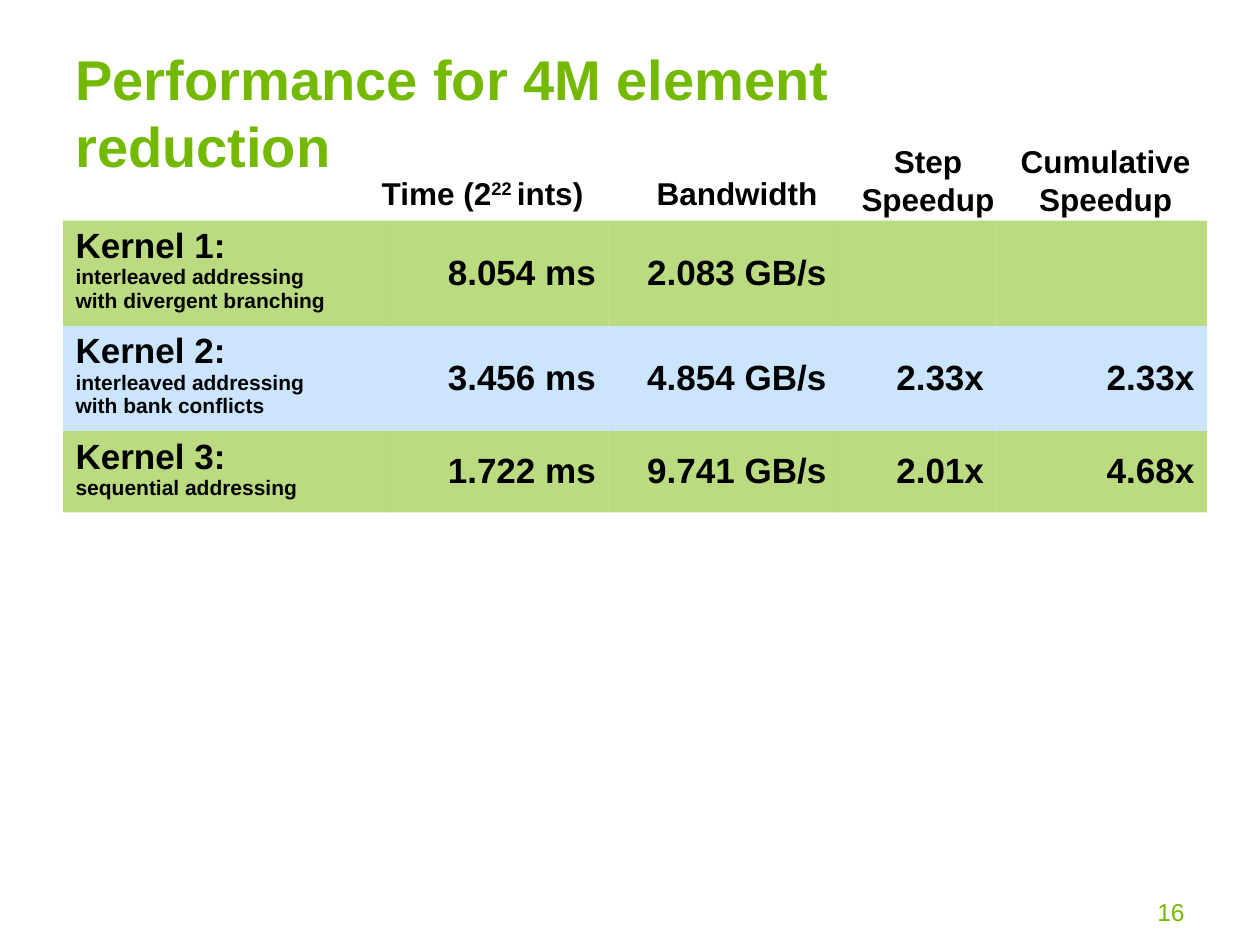
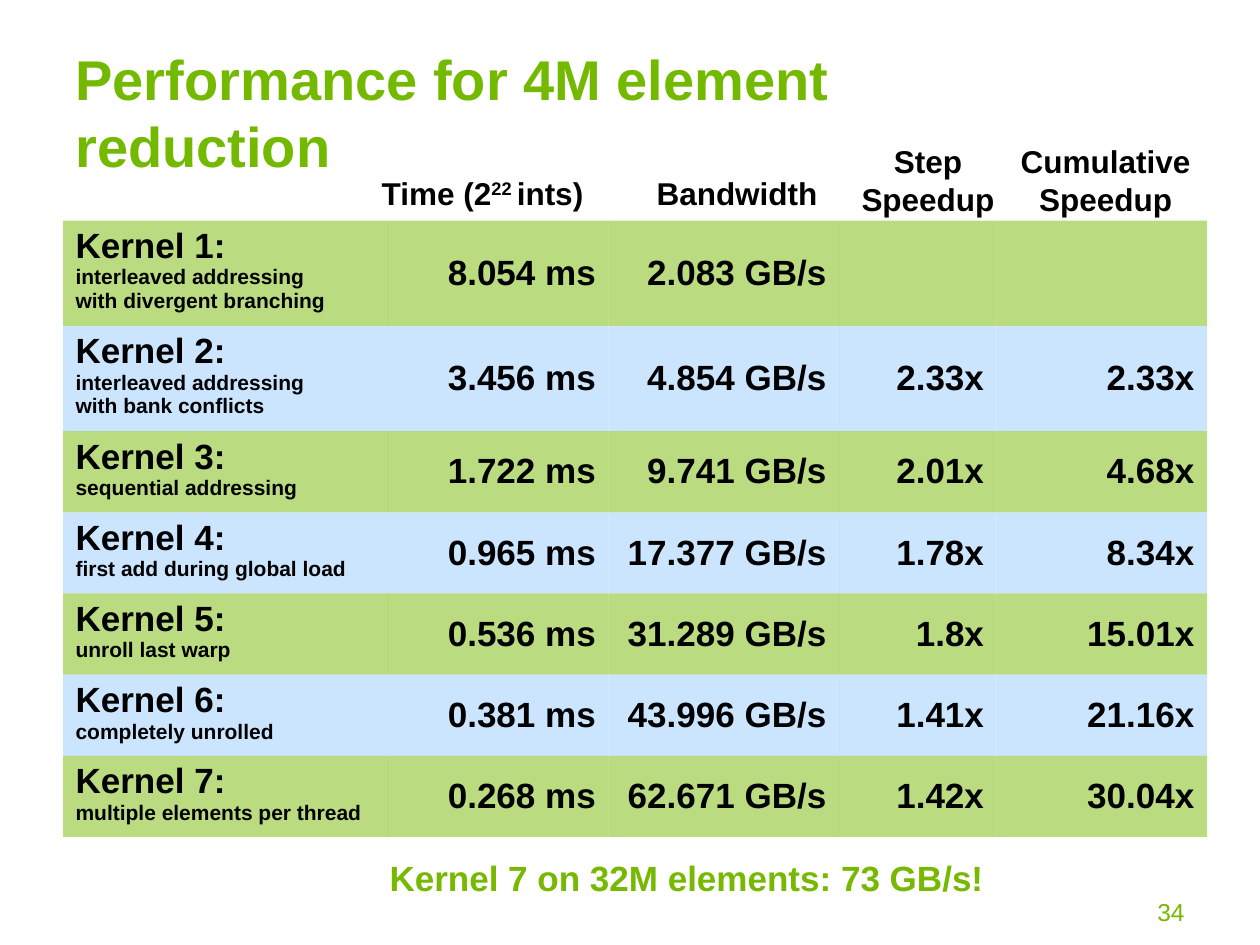
"""Build two slides that compare the speed of parallel reduction kernels."""
from dataclasses import dataclass

from lxml import etree
from pptx import Presentation
from pptx import util as u
from pptx.dml.color import RGBColor
from pptx.enum import text
from pptx.oxml.ns import qn

TITLE = "Performance for 4M element reduction"
KERNELS = [
    (["interleaved addressing", "with divergent branching"], "8.054 ms", "2.083 GB/s", "", ""),
    (["interleaved addressing", "with bank conflicts"], "3.456 ms", "4.854 GB/s", "2.33x", "2.33x"),
    (["sequential addressing"], "1.722 ms", "9.741 GB/s", "2.01x", "4.68x"),
    (["first add during global load"], "0.965 ms", "17.377 GB/s", "1.78x", "8.34x"),
    (["unroll last warp"], "0.536 ms", "31.289 GB/s", "1.8x", "15.01x"),
    (["completely unrolled"], "0.381 ms", "43.996 GB/s", "1.41x", "21.16x"),
    (["multiple elements per thread"], "0.268 ms", "62.671 GB/s", "1.42x", "30.04x"),
]
HEADINGS = [
    (["Time (2", "^22 ", "ints)"], (2.93, 1.33, 1.8, 0.4)),
    (["Bandwidth"], (5.11, 1.33, 1.48, 0.4)),
    (["Step", "\n", "Speedup"], (6.74, 1.08, 1.25, 0.7)),
    (["Cumulative", "\n", "Speedup"], (8, 1.08, 1.55, 0.7)),
]
SLIDES = [
    {"number": "16", "kernels": 3, "remark": None},
    {"number": "34", "kernels": 7, "remark": "Kernel 7 on 32M elements: 73 GB/s!"},
]

SIZE = (10, 7.5)
TITLE_AREA = (0.5, 0.3, 8.33, 1.17)
NUMBER_AREA = (7.17, 7.07, 2.33, 0.35)
REMARK_AREA = (2.99, 6.75, 4.92, 0.44)
TABLE_CORNER = (0.5, 1.75)
COLUMNS = [2.58, 1.75, 1.83, 1.25, 1.67]
ROW_POINTS = {1: 46.4, 2: 60.2}
PLAIN_TABLE = "{2D5ABB26-0587-4C30-8999-92F81FD0307C}"
LEFT, CENTER, RIGHT = (text.PP_ALIGN.LEFT, text.PP_ALIGN.CENTER, text.PP_ALIGN.RIGHT)


@dataclass(frozen=True)
class Theme:
    font: str = "Arial"
    ink: str = "000000"
    title_green: str = "73B900"
    green: str = "76B900"
    bands: tuple = ("76B900", "99CCFF")
    band_alpha: int = 50000
    title: int = 32
    body: int = 20
    heading: int = 18
    number: int = 14
    detail: int = 12


THEME = Theme()


def add_run(para, words, size, color=THEME.ink, bold=True):
    if words == "\n":
        para.add_line_break()
        return
    span = para.add_run()
    span.text = words.lstrip("^")
    span.font.name, span.font.size, span.font.bold = THEME.font, u.Pt(size), bold
    span.font.color.rgb = RGBColor.from_string(color)
    if words.startswith("^"):
        span.font._element.set("baseline", "30000")


def add_text(page, area, runs, size, color=THEME.ink, align=CENTER, bold=True, wrap=False,
             anchor=text.MSO_ANCHOR.TOP):
    box = page.shapes.add_textbox(*map(u.Inches, area))
    frame = box.text_frame
    frame.word_wrap, frame.vertical_anchor = wrap, anchor
    if not wrap:
        frame.auto_size = text.MSO_AUTO_SIZE.SHAPE_TO_FIT_TEXT
        frame.margin_left = frame.margin_right = 0
    para = frame.paragraphs[0]
    para.alignment = align
    for words in runs:
        add_run(para, words, size, color, bold)


def fill_band(cell, color):
    cell.fill.solid()
    cell.fill.fore_color.rgb = RGBColor.from_string(color)
    tint = cell._tc.tcPr.find(f".//{qn('a:srgbClr')}")
    etree.SubElement(tint, qn("a:alpha")).set("val", str(THEME.band_alpha))


def add_kernel_table(page, kernels):
    heights = [u.Pt(ROW_POINTS[len(details)]) for details, *_ in kernels]
    frame = page.shapes.add_table(len(kernels), len(COLUMNS), *map(u.Inches, TABLE_CORNER),
                                  u.Inches(sum(COLUMNS)), sum(heights))
    table = frame.table
    table.first_row = table.horz_banding = False
    table._tbl.tblPr.find(qn("a:tableStyleId")).text = PLAIN_TABLE
    for column, width in zip(table.columns, COLUMNS):
        column.width = u.Inches(width)
    for index, (details, *figures) in enumerate(kernels):
        row = table.rows[index]
        row.height = heights[index]
        for cell in row.cells:
            fill_band(cell, THEME.bands[index % 2])
        name = row.cells[0].text_frame.paragraphs[0]
        add_run(name, f"Kernel {index + 1}:", THEME.body)
        for detail in details:
            add_run(name, "\n", THEME.detail)
            add_run(name, detail, THEME.detail)
        for cell, figure in zip(list(row.cells)[1:], figures):
            cell.vertical_anchor = text.MSO_ANCHOR.MIDDLE
            para = cell.text_frame.paragraphs[0]
            para.alignment = RIGHT
            if figure:
                add_run(para, figure, THEME.body)


def add_page(deck, number, kernels, remark):
    page = deck.slides.add_slide(deck.slide_layouts[6])
    add_text(page, NUMBER_AREA, [number], THEME.number, THEME.green, RIGHT, bold=False, wrap=True)
    add_text(page, TITLE_AREA, [TITLE], THEME.title, THEME.title_green, LEFT, wrap=True,
             anchor=text.MSO_ANCHOR.BOTTOM)
    add_kernel_table(page, KERNELS[:kernels])
    if remark:
        add_text(page, REMARK_AREA, [remark], THEME.body, THEME.green)
    for runs, area in HEADINGS:
        add_text(page, area, runs, THEME.heading)


def main():
    deck = Presentation()
    deck.slide_width, deck.slide_height = map(u.Inches, SIZE)
    for content in SLIDES:
        add_page(deck, **content)
    deck.save("out.pptx")


if __name__ == "__main__":
    main()
